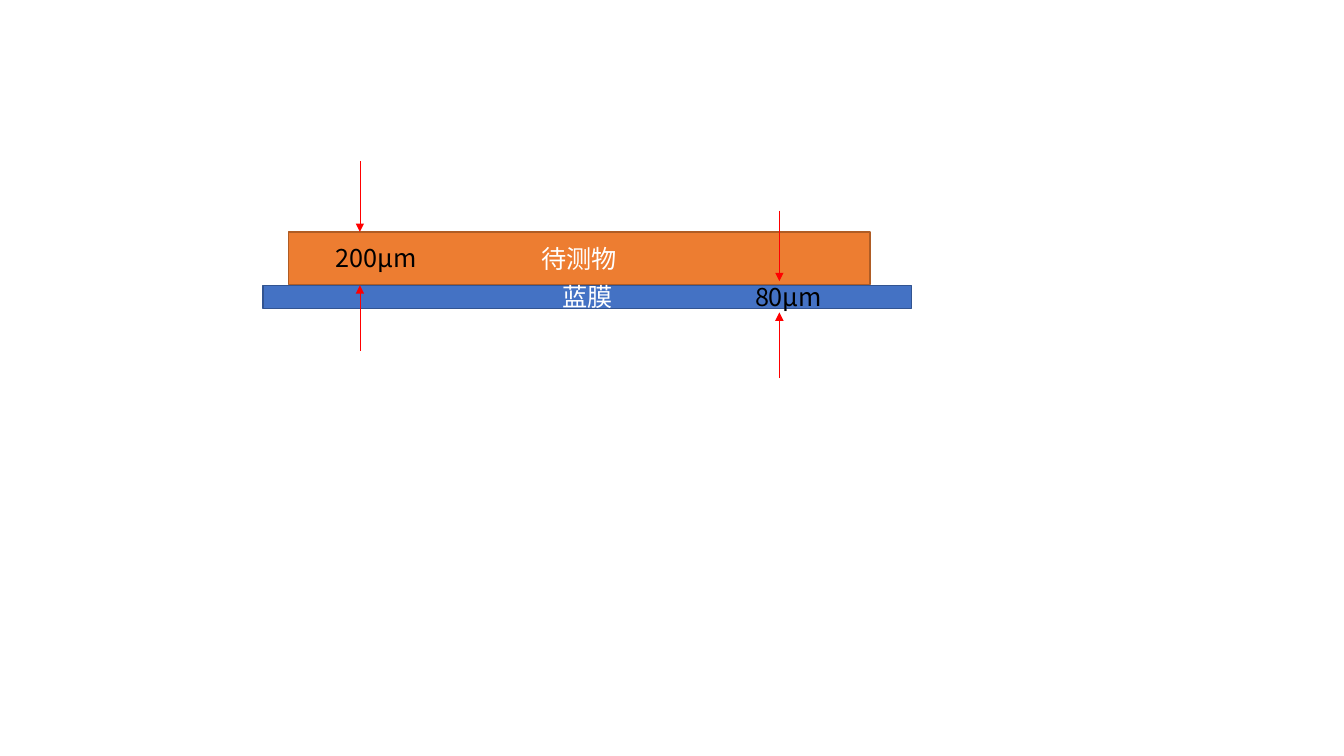
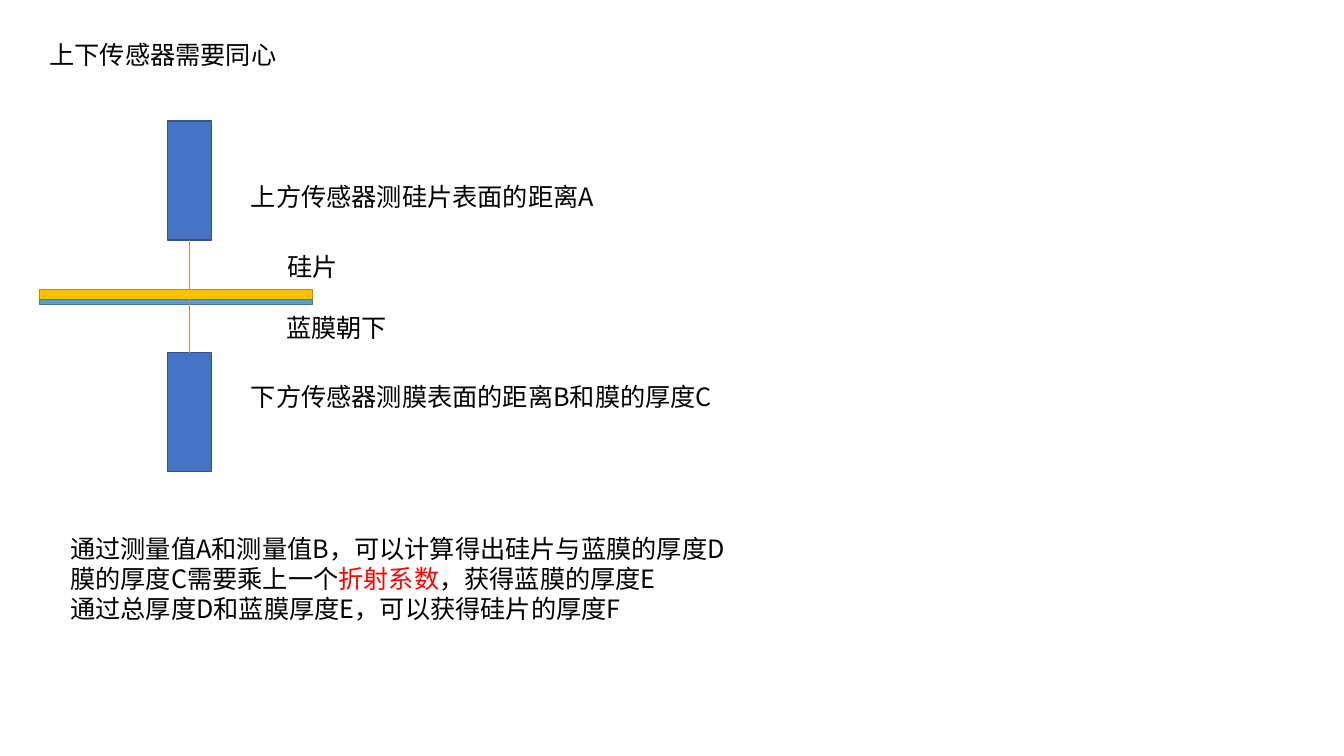
from lxml import etree
from pptx import Presentation
from pptx.dml.color import RGBColor
from pptx.enum.shapes import MSO_CONNECTOR as Connector, MSO_SHAPE as Shape
from pptx.enum.text import MSO_ANCHOR as Anchor, MSO_AUTO_SIZE as AutoSize, PP_ALIGN as Align
from pptx.oxml.ns import qn
from pptx.util import Inches, Pt

FONT = "Noto Sans CJK SC"
COLORS = {
    "black": "000000", "white": "FFFFFF", "red": "FF0000",
    "orange": "ED7D31", "orange_edge": "AF5C24",
    "blue": "4472C4", "blue_edge": "325491",
    "gold": "FFC000", "gold_edge": "BD8E00",
    "sky": "5B9BD5", "sky_edge": "43739E",
}


def rgb(name):
    return RGBColor.from_string(COLORS[name])


def style_run(run, color):
    run.font.size = Pt(18)
    run.font.color.rgb = rgb(color)
    run.font.name = FONT
    properties = run.font._element
    etree.SubElement(properties, qn("a:ea")).set("typeface", FONT)


def add_block(slide, left, top, width, height, color, label=None):
    block = slide.shapes.add_shape(
        Shape.RECTANGLE, Inches(left), Inches(top), Inches(width), Inches(height))
    block.shadow.inherit = False
    block.fill.solid()
    block.fill.fore_color.rgb = rgb(color)
    block.line.color.rgb = rgb(color + "_edge")
    block.line.width = Pt(1)
    if label:
        block.text_frame.text = label
        block.text_frame.vertical_anchor = Anchor.MIDDLE
        paragraph = block.text_frame.paragraphs[0]
        paragraph.alignment = Align.CENTER
        style_run(paragraph.runs[0], "white")
    return block


def add_line(slide, x, start, end, color, arrow=False):
    line = slide.shapes.add_connector(
        Connector.STRAIGHT, Inches(x), Inches(start), Inches(x), Inches(end))
    line.line.color.rgb = rgb(color)
    line.line.width = Pt(0.5)
    if arrow:
        etree.SubElement(line.line._get_or_add_ln(), qn("a:tailEnd")).set("type", "triangle")
    etree.SubElement(line._element.spPr, qn("a:effectLst"))
    return line


def add_text(slide, left, top, width, height, *paragraphs):
    box = slide.shapes.add_textbox(Inches(left), Inches(top), Inches(width), Inches(height))
    frame = box.text_frame
    frame.word_wrap = True
    for index, parts in enumerate(paragraphs):
        paragraph = frame.paragraphs[0] if index == 0 else frame.add_paragraph()
        for text, color in parts:
            run = paragraph.add_run()
            run.text = text
            style_run(run, color)


def add_label(slide, left, top, width, text):
    add_text(slide, left, top, width, 0.4, [(text, "black")])


def set_title(slide, left, top, width, height, text):
    title = slide.shapes.title
    title.left, title.top = Inches(left), Inches(top)
    title.width, title.height = Inches(width), Inches(height)
    frame = title.text_frame
    frame.text = text
    frame.word_wrap = True
    frame.auto_size = AutoSize.NONE
    frame.vertical_anchor = Anchor.TOP
    frame.paragraphs[0].alignment = Align.LEFT
    style_run(frame.paragraphs[0].runs[0], "black")


def build_thickness_slide(deck):
    slide = deck.slides.add_slide(deck.slide_layouts[6])
    add_block(slide, 2.86, 2.3, 5.77, 0.52, "orange", "待测物")
    add_block(slide, 2.61, 2.83, 6.43, 0.23, "blue", "蓝膜")
    for x, start, end in ((3.57, 1.6, 2.3), (3.57, 3.48, 2.83),
                          (7.73, 2.09, 2.79), (7.73, 3.75, 3.1)):
        add_line(slide, x, start, end, "red", arrow=True)
    add_label(slide, 3.23, 2.36, 1.08, "200μm")
    add_label(slide, 7.39, 2.74, 0.97, "80μm")


def build_sensor_slide(deck):
    slide = deck.slides.add_slide(deck.slide_layouts[5])
    set_title(slide, 0.39, 0.34, 2.47, 0.4, "上下传感器需要同心")

    add_block(slide, 0.39, 2.87, 2.71, 0.1, "gold")
    add_block(slide, 0.39, 2.97, 2.71, 0.05, "sky")
    upper_sensor, lower_sensor = (
        add_block(slide, 1.66, top, 0.44, 1.18, "blue") for top in (1.2, 3.5))
    upper_beam = add_line(slide, 1.88, 2.38, 2.87, "orange")
    upper_beam.begin_connect(upper_sensor, 2)
    lower_beam = add_line(slide, 1.88, 2.97, 3.5, "orange")
    lower_beam.end_connect(lower_sensor, 0)

    for left, top, width, text in (
        (2.39, 1.75, 3.64, "上方传感器测硅片表面的距离A"),
        (2.75, 2.44, 0.71, "硅片"),
        (2.74, 3.05, 1.21, "蓝膜朝下"),
        (2.39, 3.73, 4.79, "下方传感器测膜表面的距离B和膜的厚度C"),
    ):
        add_label(slide, left, top, width, text)

    add_text(
        slide, 0.6, 5.24, 6.74, 1.01,
        [("通过测量值A和测量值B，可以计算得出硅片与蓝膜的厚度D", "black")],
        [("膜的厚度C需要乘上一个", "black"), ("折射系数", "red"),
         ("，获得蓝膜的厚度E", "black")],
        [("通过总厚度D和蓝膜厚度E，可以获得硅片的厚度F", "black")],
    )


def main():
    deck = Presentation()
    deck.slide_width, deck.slide_height = Inches(13.33), Inches(7.5)
    build_thickness_slide(deck)
    build_sensor_slide(deck)
    deck.save("out.pptx")


if __name__ == "__main__":
    main()
